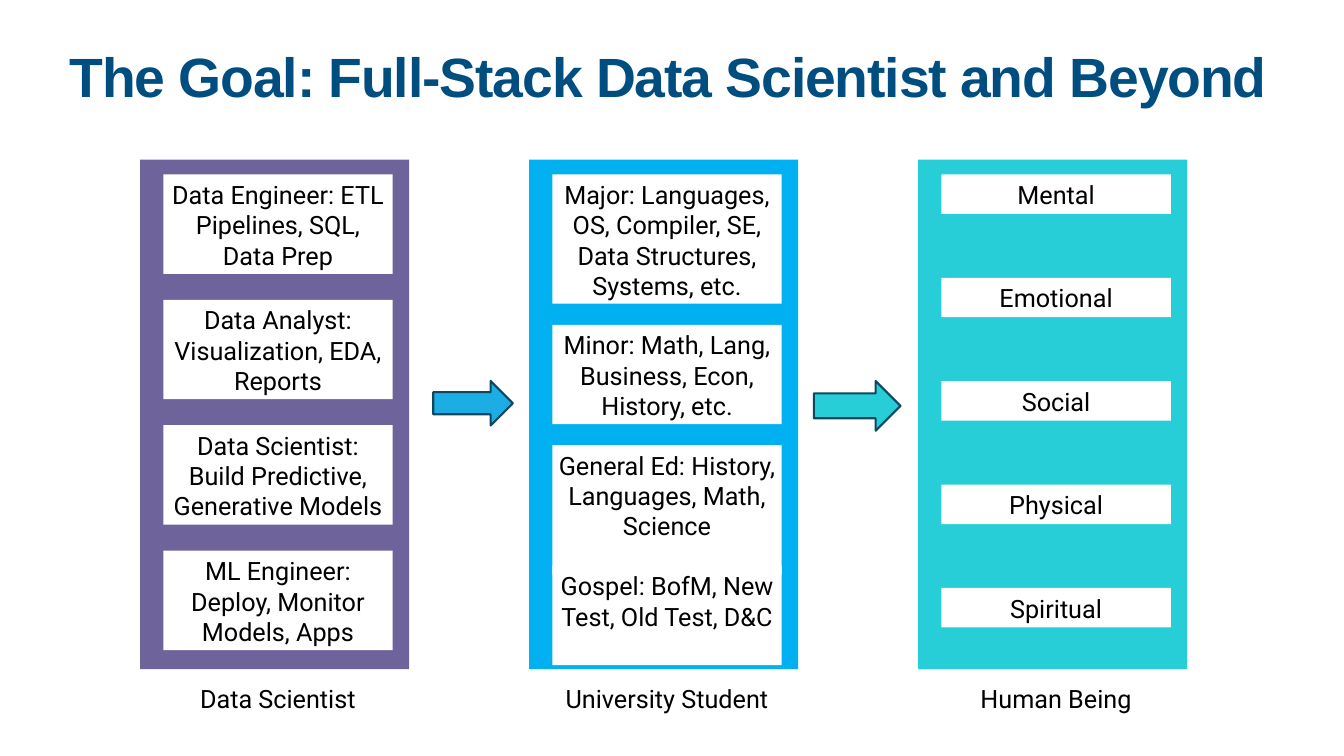
from pptx import Presentation
from pptx.dml.color import RGBColor
from pptx.enum.shapes import MSO_SHAPE
from pptx.enum.text import MSO_ANCHOR, MSO_AUTO_SIZE, PP_ALIGN
from pptx.util import Cm, Pt

NAVY = RGBColor(0x00, 0x4D, 0x80)
PURPLE = RGBColor(0x6F, 0x63, 0x9B)
SKY = RGBColor(0x00, 0xB0, 0xF0)
BLUE = RGBColor(0x1C, 0xAD, 0xE4)
TEAL = RGBColor(0x27, 0xCE, 0xD7)
OUTLINE = RGBColor(0x0C, 0x49, 0x60)
WHITE = RGBColor(0xFF, 0xFF, 0xFF)
BLACK = RGBColor(0x00, 0x00, 0x00)

TITLE = "The Goal: Full-Stack Data Scientist and Beyond"

# caption, colour, gap between cards, cards as (text, lines in slot, lines in box)
COLUMNS = [
    ("Data Scientist", PURPLE, 1.31, [
        ("Data Engineer: ETL Pipelines, SQL, Data Prep", 3, 3),
        ("Data Analyst: Visualization, EDA, Reports", 3, 3),
        ("Data Scientist: Build Predictive, Generative Models", 3, 3),
        ("ML Engineer: Deploy, Monitor Models, Apps", 3, 3),
    ]),
    ("University Student", SKY, 1.06, [
        ("Major: Languages, OS, Compiler, SE, Data Structures, Systems, etc.", 4, 4),
        ("Minor: Math, Lang, Business, Econ, History, etc.", 3, 3),
        ("General Ed: History, Languages, Math, Science", 3, 4),
        ("Gospel: BofM, New Test, Old Test, D&C", 3, 3),
    ]),
    ("Human Being", TEAL, 3.22, [
        (text, 1, 1)
        for text in ("Mental", "Emotional", "Social", "Physical", "Spiritual")
    ]),
]

# left, width, height, colour
ARROWS = [(21.84, 4.01, 2.24, BLUE), (41.02, 4.37, 2.51, TEAL)]
ARROW_TOP = 19.2

COLUMN_LEFT, COLUMN_TOP, COLUMN_PITCH = 7.06, 8.05, 19.61
COLUMN_W, COLUMN_H = 13.56, 25.68
CARD_INSET, CARD_TOP, CARD_W = 1.17, 8.79, 11.56
CAPTION_INSET, CAPTION_TOP, CAPTION_W = 1.42, 34.19, 11.05


def card_height(lines):
    return 0.48 + 1.51 * lines


def add_block(slide, kind, left, top, width, height, fill):
    s = slide.shapes.add_shape(kind, Cm(left), Cm(top), Cm(width), Cm(height))
    s.shadow.inherit = False
    s.fill.solid()
    s.fill.fore_color.rgb = fill
    s.line.fill.background()
    return s


def set_label(s, text):
    tf = s.text_frame
    tf.word_wrap = True
    tf.auto_size = MSO_AUTO_SIZE.SHAPE_TO_FIT_TEXT
    tf.vertical_anchor = MSO_ANCHOR.TOP
    tf.margin_left = tf.margin_right = tf.margin_top = tf.margin_bottom = Cm(0.25)
    p = tf.paragraphs[0]
    p.text = text
    p.alignment = PP_ALIGN.CENTER
    p.font.name, p.font.size = "Roboto", Pt(36)
    p.font.color.rgb = BLACK


def add_title(slide):
    tf = slide.shapes.add_textbox(Cm(3.35), Cm(2.64), Cm(61.04), Cm(3.99)).text_frame
    tf.word_wrap = True
    tf.margin_left = tf.margin_right = tf.margin_top = tf.margin_bottom = Cm(0.15)
    p = tf.paragraphs[0]
    p.line_spacing = 0.8
    p.font.name, p.font.size, p.font.bold = "Arial", Pt(79), True
    p.font.color.rgb = NAVY
    r = p.add_run()
    r.text = TITLE
    r.font._element.set("spc", "-160")


def add_column(slide, left, caption, colour, gap, cards):
    add_block(slide, MSO_SHAPE.RECTANGLE, left, COLUMN_TOP, COLUMN_W, COLUMN_H, colour)
    top = CARD_TOP
    for text, slot_lines, box_lines in cards:
        card = add_block(slide, MSO_SHAPE.RECTANGLE, left + CARD_INSET, top,
                         CARD_W, card_height(box_lines), WHITE)
        set_label(card, text)
        top += card_height(slot_lines) + gap
    box = slide.shapes.add_textbox(Cm(left + CAPTION_INSET), Cm(CAPTION_TOP),
                                   Cm(CAPTION_W), Cm(card_height(1)))
    set_label(box, caption)


def main():
    prs = Presentation()
    prs.slide_width, prs.slide_height = Cm(67.74), Cm(38.1)
    slide = prs.slides.add_slide(prs.slide_layouts[6])
    add_title(slide)
    for i, column in enumerate(COLUMNS):
        add_column(slide, COLUMN_LEFT + i * COLUMN_PITCH, *column)
    for left, width, height, colour in ARROWS:
        arrow = add_block(slide, MSO_SHAPE.RIGHT_ARROW, left, ARROW_TOP, width, height, colour)
        arrow.line.color.rgb = OUTLINE
        arrow.line.width = Pt(3)
    prs.save("out.pptx")


if __name__ == "__main__":
    main()
